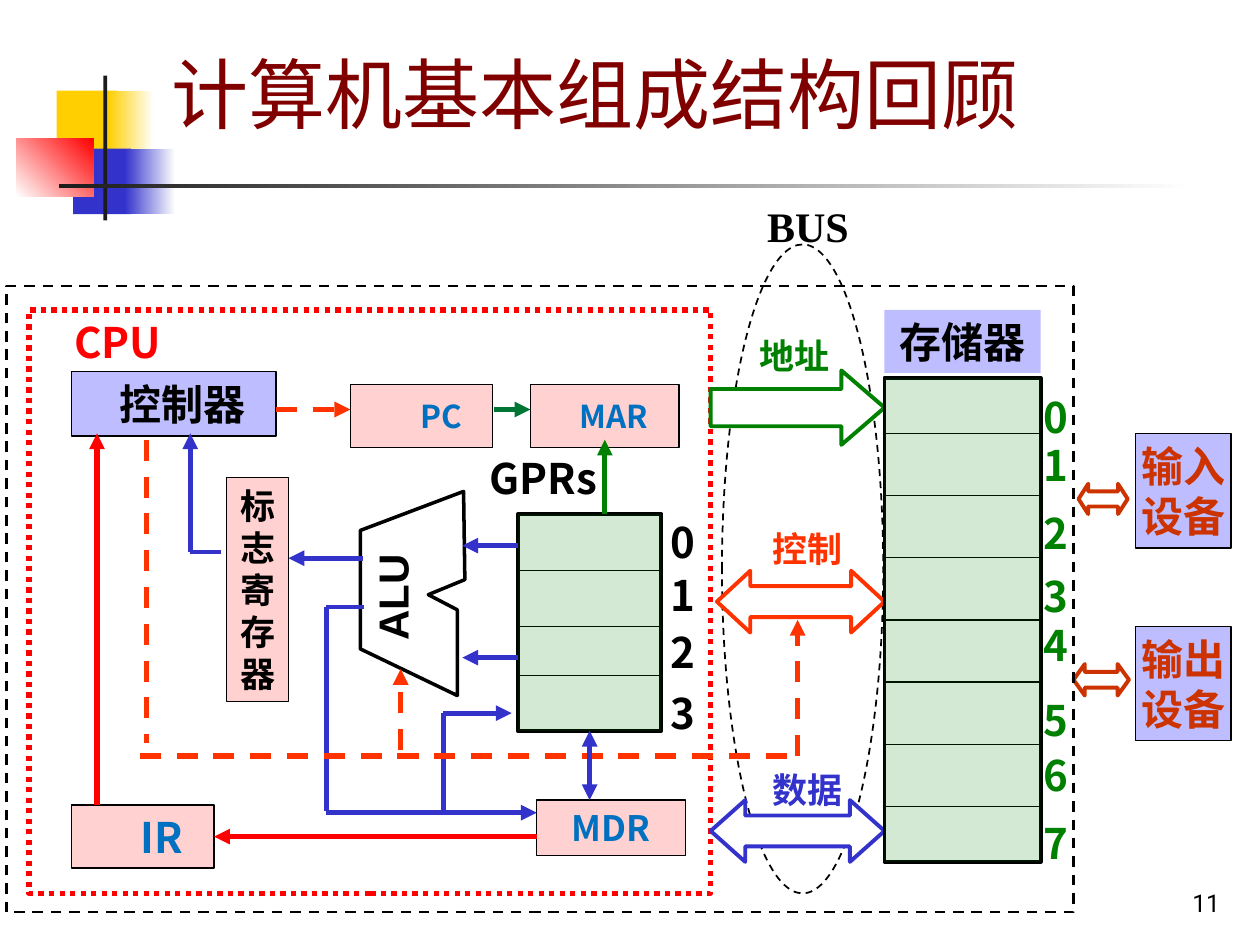
from dataclasses import dataclass

from lxml import etree
from pptx import Presentation
from pptx import util as u
from pptx.dml import color
from pptx.enum import dml, shapes, text
from pptx.oxml import ns


@dataclass(frozen=True)
class Theme:
    black: str = "000000"
    white: str = "FFFFFF"
    red: str = "FF0000"
    orange: str = "FF3300"
    rust: str = "CC3300"
    green: str = "008000"
    deep_green: str = "007635"
    blue: str = "3333CC"
    pure_blue: str = "0000FF"
    label_blue: str = "0070C0"
    yellow: str = "FFCF01"
    charcoal: str = "1C1C1C"
    maroon: str = "800000"
    body_font: str = "Noto Sans CJK SC"
    title_font: str = "Roboto"
    title: int = 44
    large: int = 24
    medium: int = 20
    small: int = 18
    number: int = 14


T = Theme()
PINK = (T.red, 18)
LAVENDER = (T.pure_blue, 26)
MINT = (T.green, 17)
KIND = shapes.MSO_SHAPE
ALIGN = text.PP_ALIGN
ANCHOR = text.MSO_ANCHOR
DASH = dml.MSO_LINE.DASH
DOT = dml.MSO_LINE.ROUND_DOT


def rgb(value):
    return color.RGBColor.from_string(value)


def inches(values):
    return [u.Inches(value) for value in values]


def set_all(target, values):
    for name, value in values.items():
        setattr(target, name, value)


def write(box, words, ink, size=T.large, font=T.body_font, bold=True, align=ALIGN.CENTER,
          anchor=ANCHOR.MIDDLE, insets=(0, 0, 0, 0), spacing=1.0):
    """Fill a shape with one paragraph per line; insets are left, top, right, bottom."""
    frame = box.text_frame
    left, top, right, bottom = inches(insets)
    set_all(frame, {"word_wrap": True, "vertical_anchor": anchor, "margin_left": left,
                    "margin_top": top, "margin_right": right, "margin_bottom": bottom})
    for index, line in enumerate(words.split("\n")):
        para = frame.add_paragraph() if index else frame.paragraphs[0]
        set_all(para, {"alignment": align, "line_spacing": spacing})
        span = para.add_run()
        span.text = line
        set_all(span.font, {"name": font, "size": u.Pt(size), "bold": bold})
        span.font.color.rgb = rgb(ink)
        east_asian = etree.SubElement(span.font._element, ns.qn("a:ea"))
        east_asian.set("typeface", font)


def style_line(line, ink, width, dash=None):
    line.color.rgb = rgb(ink)
    set_all(line, {"width": u.Pt(width), "dash_style": dash})


def add_box(page, at, fill=None, line=None, kind=KIND.RECTANGLE, adjust=()):
    """Fill is a colour or (colour, opacity in percent); line is (colour, width, dash)."""
    box = page.shapes.add_shape(kind, *inches(at))
    box.shadow.inherit = False
    for index, value in enumerate(adjust):
        box.adjustments[index] = value
    if fill is None:
        box.fill.background()
    else:
        ink, opacity = fill if isinstance(fill, tuple) else (fill, 100)
        box.fill.solid()
        box.fill.fore_color.rgb = rgb(ink)
        if opacity < 100:
            tint = box.element.spPr.find(f"{ns.qn('a:solidFill')}/{ns.qn('a:srgbClr')}")
            etree.SubElement(tint, ns.qn("a:alpha")).set("val", str(opacity * 1000))
    if line:
        style_line(box.line, *line)
    else:
        box.line.fill.background()
    return box


def add_gradient(page, at, start, end, angle=0):
    box = add_box(page, at, start)
    box.fill.gradient()
    box.fill.gradient_angle = angle
    for stop, ink in zip(box.fill.gradient_stops, (start, end)):
        stop.color.rgb = rgb(ink)


def add_label(page, at, words, ink, **style):
    box = page.shapes.add_textbox(*inches(at))
    write(box, words, ink, **style)
    return box


def add_unit(page, at, words, ink, fill=PINK, shift=0, size=T.large):
    box = add_box(page, at, fill, (T.black, 0.75))
    write(box, words, ink, size, insets=(shift, 0, 0, 0))
    return box


def add_line(page, start, end, ink, width=3, dash=None, ends=("tail",)):
    line = page.shapes.add_connector(shapes.MSO_CONNECTOR.STRAIGHT, *inches(start + end))
    style_line(line.line, ink, width, dash)
    for name in ends:
        etree.SubElement(line.line._ln, ns.qn(f"a:{name}End")).set("type", "triangle")
    etree.SubElement(line.element.spPr, ns.qn("a:effectLst"))
    return line


def add_cells(page, at, dividers, digit_left, digit_tops, ink):
    """Tinted block of storage cells with numbers on its right."""
    left, _, width, _ = at
    block = add_box(page, at, T.white, (T.black, 2.25))
    for y in dividers:
        add_line(page, (left, y), (left + width, y), T.black, 0.75, ends=())
    for number, top in enumerate(digit_tops):
        add_label(page, (digit_left, top, 0.34, 0.4), str(number), ink, anchor=ANCHOR.TOP)
    add_box(page, at, MINT)
    return block


def add_decoration(page):
    add_box(page, (0.45, 0.72, 0.48, 0.52), T.yellow)
    add_gradient(page, (0.86, 0.72, 0.36, 0.52), T.yellow, T.white)
    add_box(page, (0.58, 1.18, 0.46, 0.52), T.blue)
    add_gradient(page, (0.99, 1.18, 0.4, 0.52), T.blue, T.white)
    add_gradient(page, (0.13, 1.1, 0.61, 0.46), T.white, T.red, 45)
    add_box(page, (0.82, 0.6, 0.03, 1.15), T.charcoal)
    add_gradient(page, (0.47, 1.46, 9, 0.03), T.charcoal, T.white)


def add_alu(page):
    corners = [(3.68, 3.9), (3.69, 4.6), (3.4, 4.72), (3.63, 4.84),
               (3.63, 5.52), (2.86, 5.15), (2.86, 4.21)]
    points = [tuple(inches(corner)) for corner in corners]
    builder = page.shapes.build_freeform(*points[0], scale=1.0)
    builder.add_line_segments(points[1:], close=True)
    outline = builder.convert_to_shape()
    outline.shadow.inherit = False
    outline.fill.background()
    style_line(outline.line, T.black, 2)
    name = add_label(page, (2.69, 4.51, 0.89, 0.46), "ALU", T.black, font="Arial", spacing=0.9)
    name.rotation = 270


def add_cpu(page):
    add_box(page, (0.23, 2.46, 5.41, 4.63), line=(T.red, 3, DOT))
    add_label(page, (0.47, 2.46, 0.93, 0.5), "CPU", T.red)
    add_unit(page, (0.57, 2.95, 1.62, 0.51), "控制器", T.black, LAVENDER, 0.14)
    add_unit(page, (2.78, 3.05, 1.13, 0.5), "PC", T.label_blue, shift=0.31, size=T.small)
    add_unit(page, (4.21, 3.05, 1.18, 0.5), "MAR", T.label_blue, shift=0.15, size=T.small)
    add_unit(page, (4.26, 6.35, 1.18, 0.44), "MDR", T.label_blue, size=T.medium)
    add_unit(page, (1.8, 3.79, 0.49, 1.78), "标\n志\n寄\n存\n器", T.black, size=T.medium)
    ir = add_unit(page, (0.57, 6.39, 1.13, 0.5), "IR", T.label_blue, shift=0.3)
    add_alu(page)
    add_label(page, (3.67, 3.54, 1.28, 0.5), "GPRs", T.black)
    registers = add_cells(page, (4.11, 4.08, 1.14, 1.72), (4.53, 4.97, 5.36),
                          5.25, (4.1, 4.52, 4.97, 5.46), T.black)

    arrows = [((3.92, 3.25), (4.21, 3.25), T.deep_green), ((4.8, 4.08), (4.8, 3.49), T.green),
              ((4.11, 4.33), (3.67, 4.33), T.blue), ((4.11, 5.22), (3.67, 5.22), T.blue),
              ((2.88, 4.43), (2.29, 4.43), T.blue), ((1.51, 4.38), (1.51, 3.44), T.blue),
              ((2.59, 6.45), (4.26, 6.45), T.blue), ((3.52, 5.66), (4.06, 5.66), T.blue),
              ((0.77, 6.39), (0.77, 3.44), T.red)]
    for start, end, ink in arrows:
        add_line(page, start, end, ink)
    for start, end, width in [((1.75, 4.38), (1.51, 4.38), 2.25), ((2.89, 4.82), (2.59, 4.82), 2.25),
                              ((2.59, 4.82), (2.59, 6.44), 3), ((3.52, 6.44), (3.52, 5.66), 3)]:
        add_line(page, start, end, T.blue, width, ends=())
    for start, end, ends in [((2.19, 3.25), (2.78, 3.25), ("tail",)), ((1.11, 6), (6.28, 6), ()),
                             ((1.16, 3.49), (1.16, 5.9), ()), ((3.18, 5.95), (3.18, 5.31), ("tail",))]:
        add_line(page, start, end, T.orange, dash=DASH, ends=ends)
    add_line(page, (4.26, 6.64), (1.7, 6.64), T.red).end_connect(ir, 3)
    exchange = add_line(page, (4.68, 5.8), (4.68, 6.35), T.blue, ends=("head", "tail"))
    exchange.begin_connect(registers, 2)


def add_bus(page):
    double = KIND.LEFT_RIGHT_ARROW
    lanes = [("地址", (5.84, 2.61, 0.94, 0.43), (5.64, 2.94, 1.38, 0.59), KIND.RIGHT_ARROW, 0.58, T.green),
             ("控制", (5.94, 4.14, 0.94, 0.43), (5.69, 4.53, 1.33, 0.49), double, 0.54, T.orange),
             ("数据", (5.99, 6.05, 0.84, 0.43), (5.64, 6.35, 1.38, 0.49), double, 0.56, T.blue)]
    for words, label_at, arrow_at, kind, head, ink in lanes:
        add_label(page, label_at, words, ink, size=T.medium)
        add_box(page, arrow_at, T.white, (ink, 2.25), kind, (0.5, head))
    add_line(page, (6.33, 6), (6.33, 4.92), T.orange, dash=DASH)
    add_label(page, (5.99, 1.54, 1.08, 0.5), "BUS", T.black, font="Times New Roman",
              align=ALIGN.LEFT, insets=(0.1, 0, 0, 0))


def add_memory(page):
    name = add_box(page, (7.02, 2.46, 1.24, 0.5), LAVENDER)
    write(name, "存储器", T.black)
    dividers = [3.44 + row * 2.96 / 6 for row in range(7)]
    add_cells(page, (7.02, 3, 1.24, 3.84), dividers, 8.21,
              (3.11, 3.49, 4.03, 4.53, 4.92, 5.51, 5.95, 6.49), T.green)


def add_devices(page):
    devices = [("输入\n设备", 3.44, (8.56, 3.84, 0.39, 0.24), 0.32),
               ("输出\n设备", 4.97, (8.52, 5.27, 0.44, 0.25), 0.36)]
    for words, top, arrow_at, head in devices:
        add_unit(page, (9.01, top, 0.76, 0.91), words, T.rust, LAVENDER)
        add_box(page, arrow_at, T.white, (T.rust, 2.25), KIND.LEFT_RIGHT_ARROW, (0.5, head))


def main():
    deck = Presentation()
    set_all(deck, {"slide_width": u.Inches(10), "slide_height": u.Inches(7.5)})
    page = deck.slides.add_slide(deck.slide_layouts[5])
    title = page.shapes.title
    set_all(title, dict(zip(("left", "top", "width", "height"), inches((1.26, 0.23, 8.52, 0.92)))))
    plain = {"font": T.title_font, "bold": False, "anchor": ANCHOR.BOTTOM, "insets": (0.1, 0.05, 0.1, 0.05)}
    write(title, "计算机基本组成结构回顾", T.maroon, T.title, align=ALIGN.LEFT, **plain)
    add_decoration(page)
    add_box(page, (5.73, 1.94, 1.28, 5.15), T.white, (T.black, 1, DASH), KIND.OVAL)
    for build in (add_cpu, add_bus, add_memory, add_devices):
        build(page)
    add_box(page, (0.05, 2.27, 8.47, 4.97), line=(T.black, 1.5, DASH))
    add_label(page, (7.7, 6.83, 2.08, 0.5), "11", T.black, size=T.number, align=ALIGN.RIGHT, **plain)
    deck.save("out.pptx")


if __name__ == "__main__":
    main()
